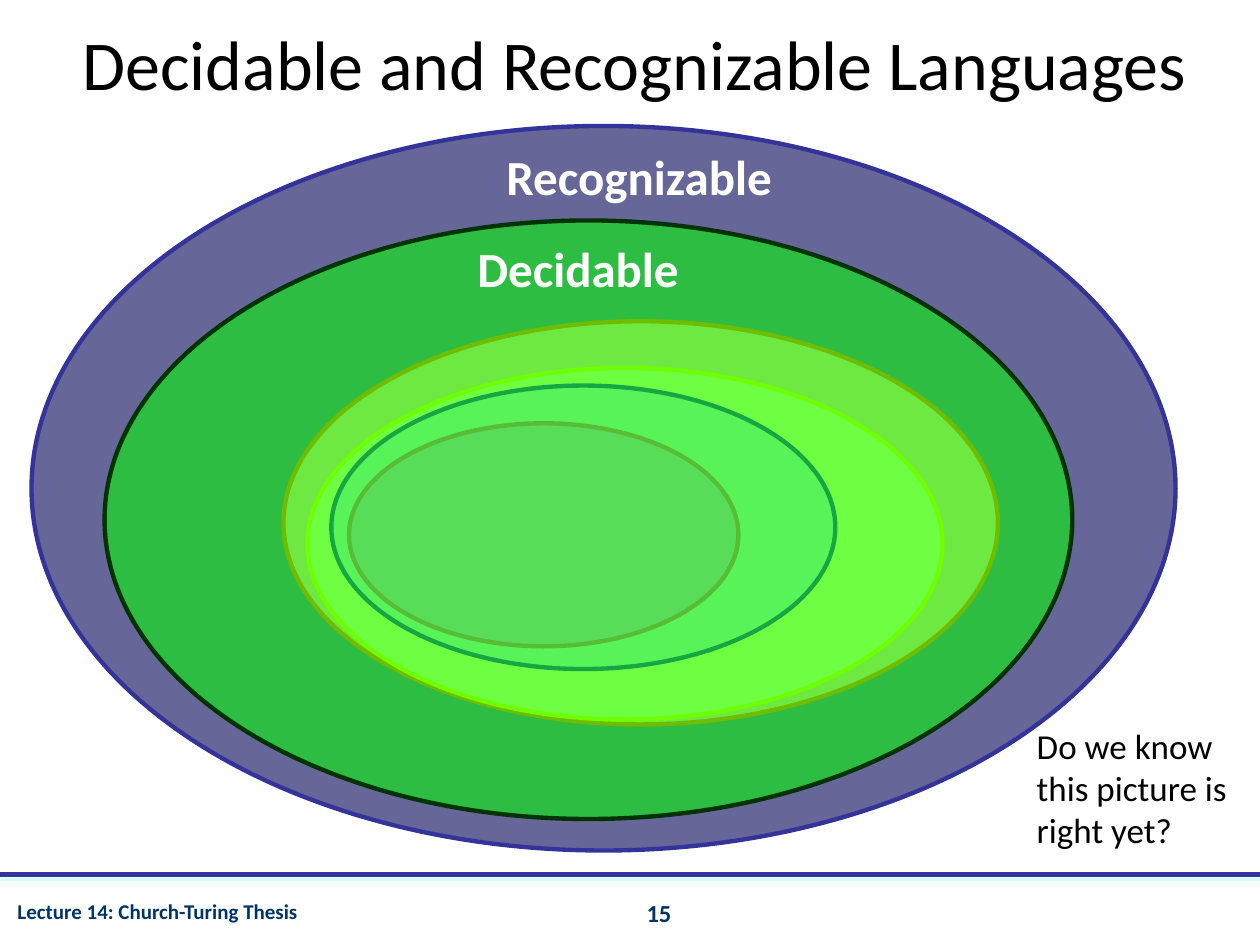
from lxml import etree
from pptx import Presentation, util as u
from pptx.dml.color import RGBColor
from pptx.enum import shapes, text
from pptx.oxml import ns

PX = 9144
FONT = "Calibri"
WHITE = RGBColor(0xFF, 0xFF, 0xFF)
BLACK = RGBColor(0x00, 0x00, 0x00)
NAVY = RGBColor(0x00, 0x33, 0x66)
INDIGO = RGBColor(0x33, 0x33, 0x99)
SLATE = RGBColor(0x66, 0x66, 0x99)
ICE = RGBColor(0xCC, 0xFF, 0xFF)
PEACH = RGBColor(0xFF, 0xCC, 0x99)
ORANGE = RGBColor(0xFF, 0x66, 0x00)
CREAM = RGBColor(0xFF, 0xFF, 0x99)
YELLOW = RGBColor(0xFF, 0xFF, 0x00)
ROSE = RGBColor(0xFF, 0x99, 0x99)
RED = RGBColor(0xFF, 0x00, 0x00)
SKY = RGBColor(0x99, 0xCC, 0xFF)
LIME = RGBColor(0x00, 0xFF, 0x00)
FOREST = RGBColor(0x00, 0x33, 0x00)

LEFT, MID = text.PP_ALIGN.LEFT, text.PP_ALIGN.CENTER
SETS = [
    ((225, 255, 567, 320), PEACH, ORANGE, 100),
    ((244, 292, 504, 279), CREAM, YELLOW, 100),
    ((277, 336, 309, 177), ROSE, RED, 100),
    ((263, 306, 400, 225), SKY, INDIGO, 50),
    ((83, 175, 768, 475), LIME, FOREST, 57),
]


def scale(box):
    return [n * PX for n in box]


def add_rule(slide, x, y, color, width):
    line = slide.shapes.add_connector(
        shapes.MSO_CONNECTOR.STRAIGHT, *scale((x, y, x + 1000, y)))
    line.line.color.rgb = color
    line.line.width = u.Pt(width)
    etree.SubElement(line._element.spPr, ns.qn("a:effectLst"))


def add_set(group, box, fill, edge, alpha=100):
    oval = group.add_shape(shapes.MSO_SHAPE.OVAL, *scale(box))
    oval.shadow.inherit = False
    oval.fill.solid()
    oval.fill.fore_color.rgb = fill
    oval.line.color.rgb = edge
    oval.line.width = u.Pt(2.5)
    if alpha < 100:
        tint = oval._element.spPr.find(ns.qn("a:solidFill"))[0]
        etree.SubElement(tint, ns.qn("a:alpha"), val=str(alpha * 1000))


def add_text(slide, box, words, size, color, bold=False, align=LEFT, wrap=True):
    label = slide.shapes.add_textbox(*scale(box))
    frame = label.text_frame
    frame.text = words
    frame.word_wrap = wrap
    para = frame.paragraphs[0]
    para.alignment = align
    font = para.runs[0].font
    font.name, font.size, font.bold = FONT, u.Pt(size), bold
    font.color.rgb = color
    return frame


def main():
    deck = Presentation()
    deck.slide_width, deck.slide_height = scale((1000, 750))
    slide = deck.slides.add_slide(deck.slide_layouts[6])

    add_text(slide, (419, 708, 208, 37), "15", 14, NAVY, True, MID)
    add_text(slide, (4, 708, 429, 36), "Lecture 14: Church-Turing Thesis",
             12, NAVY, True)
    add_rule(slide, 0, 694, INDIGO, 2.5)
    add_rule(slide, 1, 698, ICE, 1.5)

    add_set(slide.shapes, (25, 100, 908, 575), SLATE, INDIGO)
    title = add_text(slide, (32, 11, 943, 77),
                     "Decidable and Recognizable Languages", 40, BLACK, align=MID)
    title.vertical_anchor = text.MSO_ANCHOR.MIDDLE
    inner = slide.shapes.add_group_shape().shapes
    for item in SETS[:-1]:
        add_set(inner, *item)
    add_set(slide.shapes, *SETS[-1])

    add_text(slide, (369, 184, 180, 57), "Decidable", 28, WHITE, True, wrap=False)
    add_text(slide, (392, 111, 232, 57), "Recognizable", 28, WHITE, True, wrap=False)
    add_text(slide, (813, 570, 177, 110),
             "Do we know this picture is right yet?", 20, BLACK)
    deck.save("out.pptx")


if __name__ == "__main__":
    main()
